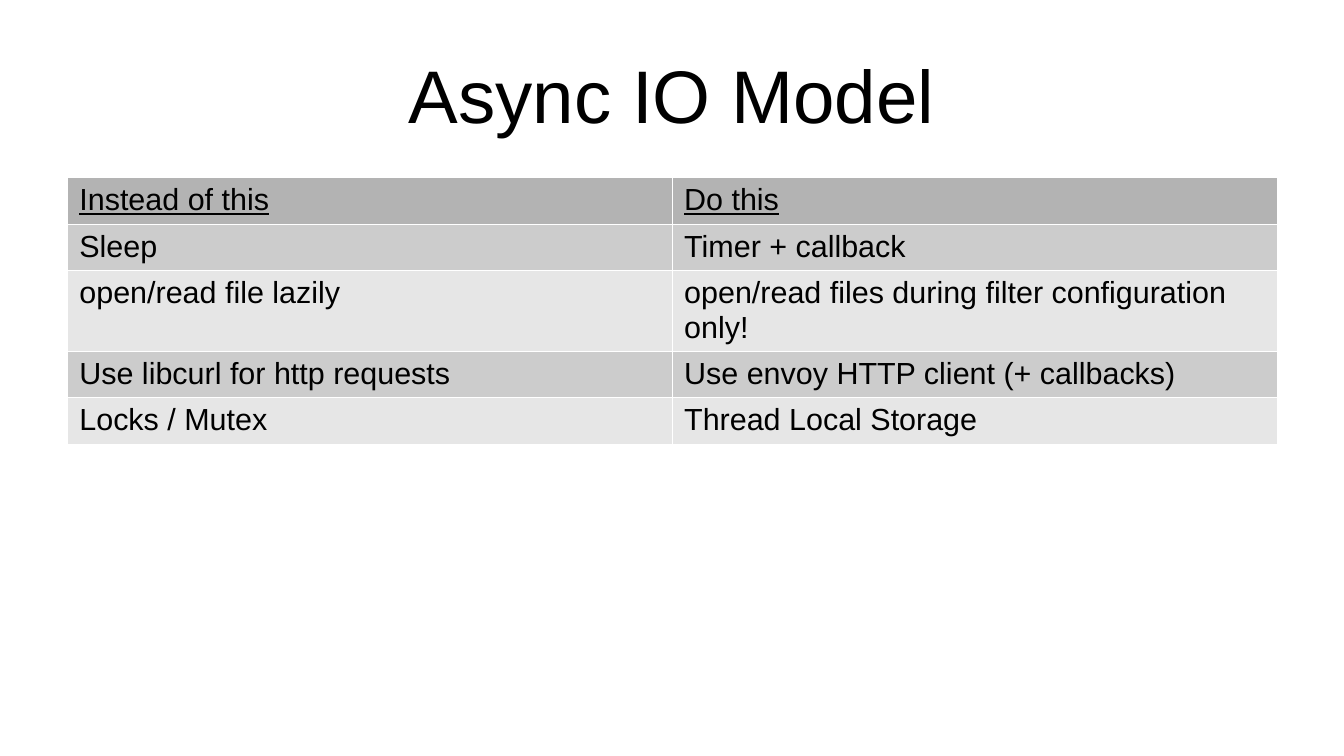
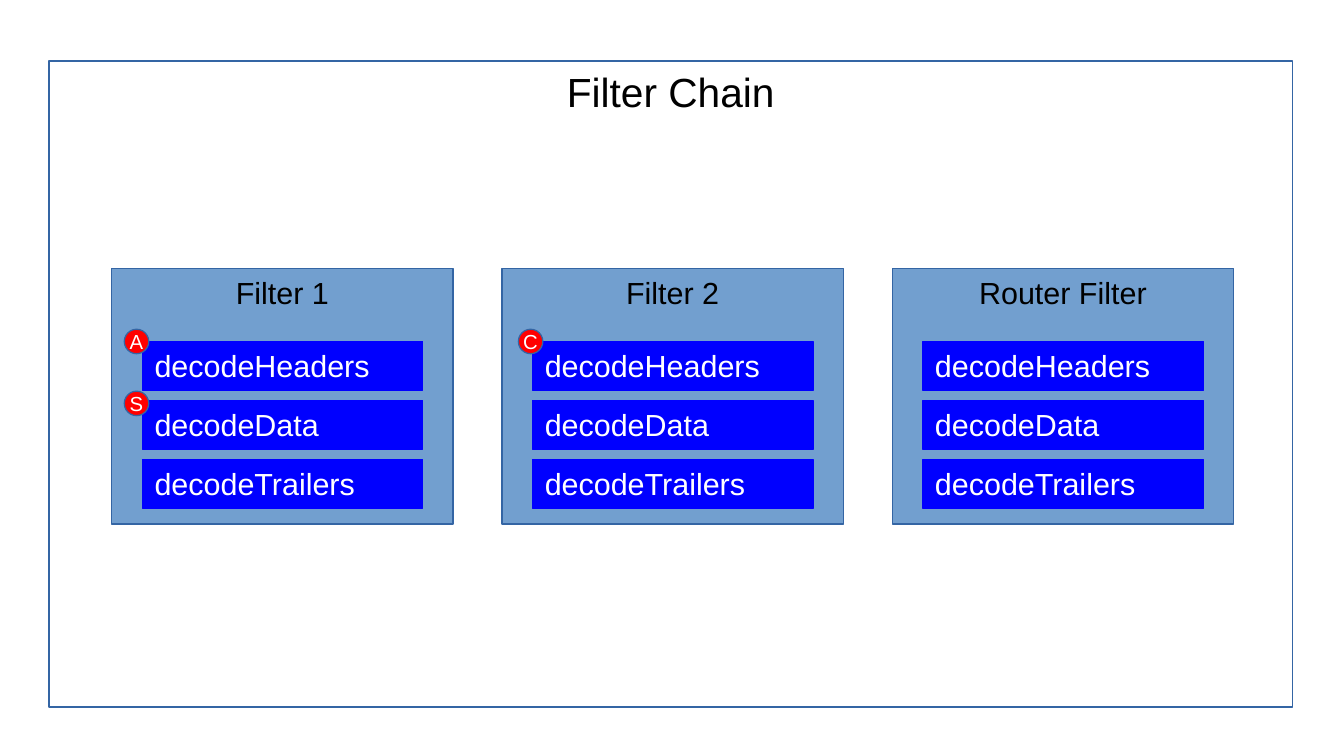
from dataclasses import dataclass

from lxml import etree
from pptx import Presentation, util as u
from pptx.dml.color import RGBColor
from pptx.enum import shapes, text
from pptx.oxml.ns import qn

# Shared look
FONT = "Arial"
BLACK, WHITE, RED = "000000", "FFFFFF", "FF0000"
EDGE, PANEL, STEP = "3465A4", "729FCF", "0000FF"
HEAD, BANDS = "B3B3B3", ("CCCCCC", "E6E6E6")
LEFT, CENTER = text.PP_ALIGN.LEFT, text.PP_ALIGN.CENTER
TOP, MIDDLE = text.MSO_ANCHOR.TOP, text.MSO_ANCHOR.MIDDLE
RECT = shapes.MSO_SHAPE.RECTANGLE
FRAME = shapes.MSO_SHAPE.FLOWCHART_PROCESS
OVAL = shapes.MSO_SHAPE.OVAL

ROWS = (
    ("Instead of this", "Do this"),
    ("Sleep", "Timer + callback"),
    ("open/read file lazily", "open/read files during filter configuration only!"),
    ("Use libcurl for http requests", "Use envoy HTTP client (+ callbacks)"),
    ("Locks / Mutex", "Thread Local Storage"),
)
FILTERS = ("Filter 1", "Filter 2", "Router Filter")
STEPS = ("decodeHeaders", "decodeData", "decodeTrailers")

# Grid of the filter chain, in cm
PANEL_X, PANEL_Y, PANEL_GAP = 2.33, 5.59, 8.13
STEP_X, STEP_Y, STEP_GAP = 0.64, 1.52, 1.23


@dataclass(frozen=True)
class Style:
    kind: int
    width: float
    height: float
    fill: str
    line: str
    size: int
    ink: str
    align: int = CENTER
    anchor: int = MIDDLE


@dataclass(frozen=True)
class Badge:
    label: str
    left: float
    top: float


CHAIN_BOX = Style(FRAME, 25.91, 13.46, WHITE, EDGE, 24, BLACK, anchor=TOP)
FILTER_BOX = Style(RECT, 7.11, 5.33, PANEL, EDGE, 18, BLACK, anchor=TOP)
STEP_BOX = Style(RECT, 5.84, 1.02, STEP, STEP, 18, WHITE, align=LEFT)
BADGE_DOT = Style(OVAL, 0.51, 0.51, RED, EDGE, 12, WHITE)
BADGES = (Badge("A", 2.59, 6.86), Badge("C", 10.8, 6.86), Badge("S", 2.59, 8.15))


def rgb(code: str) -> RGBColor:
    return RGBColor.from_string(code)


def write(frame, words: str, size: int, ink: str, align: int = LEFT,
          under: bool = False) -> None:
    """Set one paragraph of text and format its run."""
    frame.text = words
    line = frame.paragraphs[0]
    line.alignment = align
    font = line.runs[0].font
    font.name, font.size = FONT, u.Pt(size)
    font.bold, font.underline = False, under
    font.color.rgb = rgb(ink)


def draw(parent, style: Style, words: str, left: float, top: float) -> None:
    """Add a labelled shape to a slide or a group."""
    box = parent.shapes.add_shape(style.kind, u.Cm(left), u.Cm(top),
                                  u.Cm(style.width), u.Cm(style.height))
    box.shadow.inherit = False
    box.fill.solid()
    box.fill.fore_color.rgb = rgb(style.fill)
    box.line.color.rgb = rgb(style.line)
    box.line.width = u.Pt(0)
    frame = box.text_frame
    frame.word_wrap = False
    frame.vertical_anchor = style.anchor
    write(frame, words, style.size, style.ink, style.align)


def edge(cell) -> None:
    """Give a table cell thin white borders."""
    props = cell._tc.get_or_add_tcPr()
    for side in ("lnL", "lnR", "lnT", "lnB"):
        line = etree.SubElement(props, qn(f"a:{side}"), w=str(u.Pt(0.06)))
        fill = etree.SubElement(line, qn("a:solidFill"))
        etree.SubElement(fill, qn("a:srgbClr"), val=WHITE)


def add_model(deck) -> None:
    slide = deck.slides.add_slide(deck.slide_layouts.get_by_name("Title Only"))

    # Title
    title = slide.shapes.title
    title.left, title.top = u.Cm(1.4), u.Cm(0.63)
    title.width, title.height = u.Cm(25.2), u.Cm(2.63)
    frame = title.text_frame
    frame.margin_left = frame.margin_right = 0
    frame.margin_top = frame.margin_bottom = 0
    frame.vertical_anchor = MIDDLE
    write(frame, "Async IO Model", 44, BLACK, CENTER)

    # Table of advice
    table = slide.shapes.add_table(len(ROWS), 2, u.Cm(1.4), u.Cm(3.69),
                                   u.Cm(25.2), u.Cm(0.97 * len(ROWS))).table
    table.first_row = table.horz_banding = False
    for row, pair in enumerate(ROWS):
        shade = BANDS[(row - 1) % 2] if row else HEAD
        for col, words in enumerate(pair):
            cell = table.cell(row, col)
            edge(cell)
            cell.fill.solid()
            cell.fill.fore_color.rgb = rgb(shade)
            write(cell.text_frame, words, 18, BLACK, under=row == 0)


def add_chain(deck) -> None:
    slide = deck.slides.add_slide(deck.slide_layouts.get_by_name("Blank"))
    draw(slide, CHAIN_BOX, "Filter Chain", 1.02, 1.27)

    # Filters with their steps
    for col, name in enumerate(FILTERS):
        group = slide.shapes.add_group_shape()
        left = PANEL_X + col * PANEL_GAP
        draw(group, FILTER_BOX, name, left, PANEL_Y)
        for row, step in enumerate(STEPS):
            draw(group, STEP_BOX, step, left + STEP_X,
                 PANEL_Y + STEP_Y + row * STEP_GAP)

    # Result badges
    for badge in BADGES:
        draw(slide, BADGE_DOT, badge.label, badge.left, badge.top)


def main() -> None:
    deck = Presentation()
    deck.slide_width, deck.slide_height = u.Cm(28), u.Cm(15.75)
    add_model(deck)
    add_chain(deck)
    deck.save("out.pptx")


if __name__ == "__main__":
    main()
